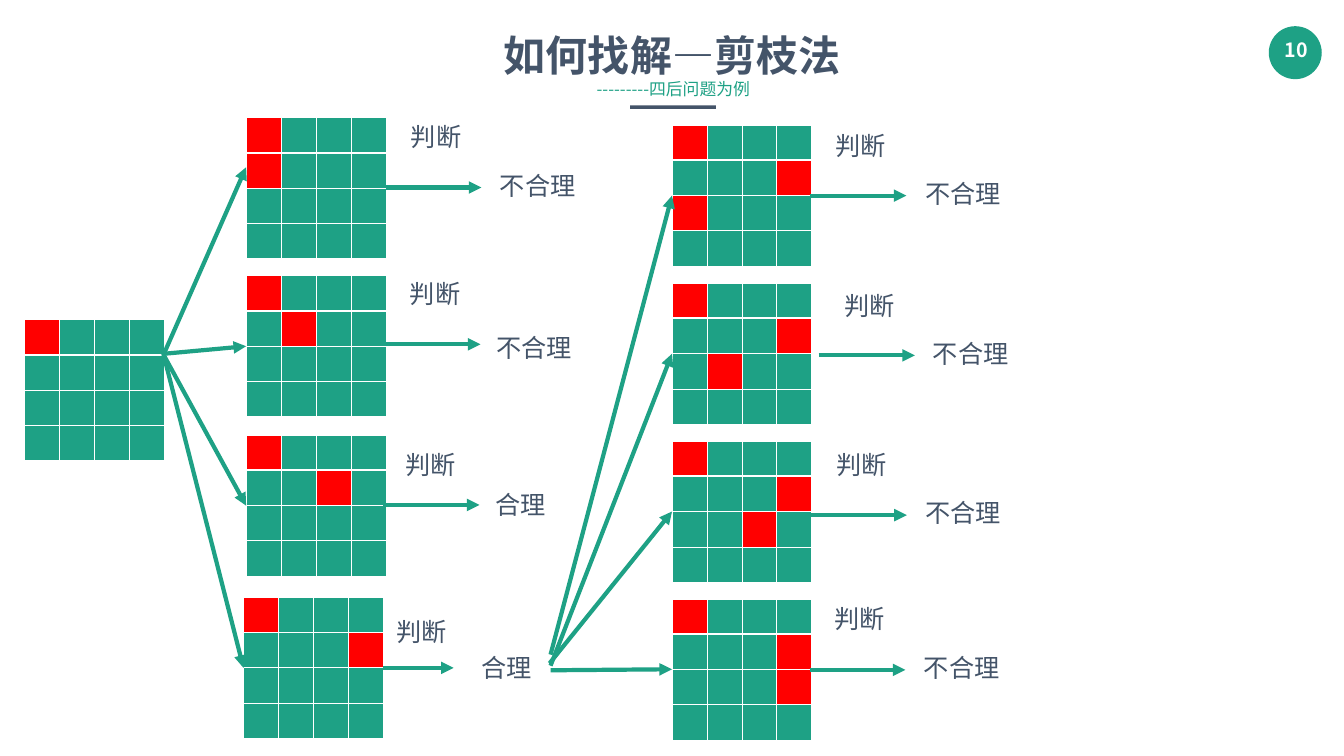
from lxml.etree import SubElement
from pptx import Presentation
from pptx.dml.color import RGBColor
from pptx.enum.shapes import MSO_CONNECTOR as Link, MSO_SHAPE as Shape
from pptx.enum.text import MSO_ANCHOR as Anchor, MSO_AUTO_SIZE as Fit, PP_ALIGN as Align
from pptx.oxml import parse_xml
from pptx.oxml.ns import nsdecls, qn
from pptx.util import Cm, Pt

GREEN = RGBColor(0x1E, 0xA1, 0x85)
SLATE = RGBColor(0x44, 0x54, 0x69)
RED = RGBColor(0xFF, 0x00, 0x00)
WHITE = RGBColor(0xFF, 0xFF, 0xFF)
FONT = "Noto Sans CJK SC"

SIZE = 4
BOARD_W, BOARD_H = 7.04, 7.11
BAD, GOOD = "不合理", "合理"

ROOT = (1.24, 16.1)

# board corner, queen columns by row, start and end height of the branch,
# step arrow (left, right, height), corner of the label, verdict and its corner
BRANCHES = [
    ((12.4, 5.92), (0, 0), (8.26, 17.83), 8.43,
     (19.43, 24.26, 9.45), (20.45, 5.99), BAD, (24.94, 8.43)),
    ((12.4, 13.89), (0, 1), (8.26, 17.83), 17.45,
     (19.35, 24.21, 17.35), (20.4, 13.92), BAD, (24.77, 16.61)),
    ((12.4, 21.92), (0, 2), (8.26, 17.91), 25.48,
     (19.3, 24.16, 25.45), (20.19, 22.53), GOOD, (24.71, 24.54)),
    ((12.27, 30.1), (0, 3), (8.23, 17.83), 33.66,
     (19.3, 22.86, 33.66), (19.71, 30.91), GOOD, (24, 32.74)),
    ((33.86, 6.3), (0, 3, 0), (27.74, 32.99), 9.86,
     (40.82, 45.67, 9.86), (41.86, 6.43), BAD, (46.36, 8.86)),
    ((33.86, 14.27), (0, 3, 1), (27.74, 33.55), 17.83,
     (41.25, 46.1, 17.91), (42.29, 14.48), BAD, (46.76, 16.92)),
    ((33.86, 22.23), (0, 3, 2), (27.69, 33.43), 25.78,
     (40.84, 45.69, 25.96), (41.88, 22.5), BAD, (46.38, 24.94)),
    ((33.86, 30.18), (0, 3, 3), (27.74, 33.78), 33.73,
     (40.79, 45.62, 33.76), (41.81, 30.3), BAD, (46.3, 32.74)),
]


def add_text(slide, text, box, size, color=SLATE, bold=False, align=Align.LEFT,
             inset=(0.25, 0.13), wrap=True, fit=Fit.SHAPE_TO_FIT_TEXT):
    frame = slide.shapes.add_textbox(*map(Cm, box)).text_frame
    frame.word_wrap = wrap
    frame.auto_size = fit
    frame.margin_left = frame.margin_right = Cm(inset[0])
    frame.margin_top = frame.margin_bottom = Cm(inset[1])
    frame.text = text
    par = frame.paragraphs[0]
    par.alignment = align
    run = par.runs[0]
    font = run.font
    font.size, font.bold, font.name = Pt(size), bold, FONT
    font.color.rgb = color
    SubElement(run._r.get_or_add_rPr(), qn("a:ea"), typeface=FONT)
    return frame


def add_block(slide, kind, box, color):
    block = slide.shapes.add_shape(kind, *map(Cm, box))
    block.shadow.inherit = False
    block.fill.solid()
    block.fill.fore_color.rgb = color
    block.line.fill.background()


def add_arrow(slide, start, end):
    arrow = slide.shapes.add_connector(Link.STRAIGHT, *map(Cm, start + end))
    arrow.line.color.rgb = GREEN
    arrow.line.width = Pt(6)
    SubElement(arrow.line._get_or_add_ln(), qn("a:tailEnd"), type="triangle")
    SubElement(arrow._element.spPr, qn("a:effectLst"))


def set_edges(cell, base):
    """Draw white cell borders; base is the width of the lower one in points."""
    props = cell._tc.get_or_add_tcPr()
    for i, (side, width) in enumerate(zip("LRTB", (1, 1, 1, base))):
        props.insert(i, parse_xml(
            f'<a:ln{side} {nsdecls("a")} w="{Pt(width)}"><a:solidFill>'
            f'<a:srgbClr val="{WHITE}"/></a:solidFill></a:ln{side}>'))


def add_board(slide, corner, queens):
    """Add a chessboard; queens holds the red column of each row from the top."""
    box = map(Cm, corner + (BOARD_W, BOARD_H))
    board = slide.shapes.add_table(SIZE, SIZE, *box).table
    board.first_row = board.horz_banding = False
    for row in range(SIZE):
        for col in range(SIZE):
            cell = board.cell(row, col)
            cell.fill.solid()
            taken = row < len(queens) and queens[row] == col
            cell.fill.fore_color.rgb = RED if taken else GREEN
            set_edges(cell, 3 if row == 0 else 1)


def add_branch(slide, corner, queens, start, end, step, label, verdict, place):
    add_board(slide, corner, queens)
    add_arrow(slide, start, (corner[0], end))
    left, right, level = step
    add_arrow(slide, (left, level), (right, level))
    add_text(slide, "判断", label + (3.81, 1.8), 36)
    add_text(slide, verdict, place + (5.92, 1.8), 36)


def add_header(slide):
    add_block(slide, Shape.OVAL, (63.93, 1.32, 2.67, 2.67), GREEN)
    add_text(slide, "10", (64.11, 1.68, 2.41, 1.7), 28, WHITE, True,
             Align.CENTER, (0.51, 0.25), wrap=False)
    add_text(slide, "如何找解—剪枝法", (16.69, 1.35, 34.34, 2.82), 60,
             bold=True, align=Align.CENTER)
    add_block(slide, Shape.RECTANGLE, (31.75, 5.31, 4.32, 0.18), SLATE)
    note = add_text(slide, "---------四后问题为例", (17.73, 3.66, 32.39, 1.68),
                    24, GREEN, align=Align.CENTER, inset=(0.61, 0.3), fit=Fit.NONE)
    note.vertical_anchor = Anchor.MIDDLE


def main():
    deck = Presentation()
    deck.slide_width, deck.slide_height = Cm(67.72), Cm(38.1)
    slide = deck.slides.add_slide(deck.slide_layouts[6])
    add_header(slide)
    add_board(slide, ROOT, (0,))
    for branch in BRANCHES:
        add_branch(slide, *branch)
    deck.save("out.pptx")


if __name__ == "__main__":
    main()
